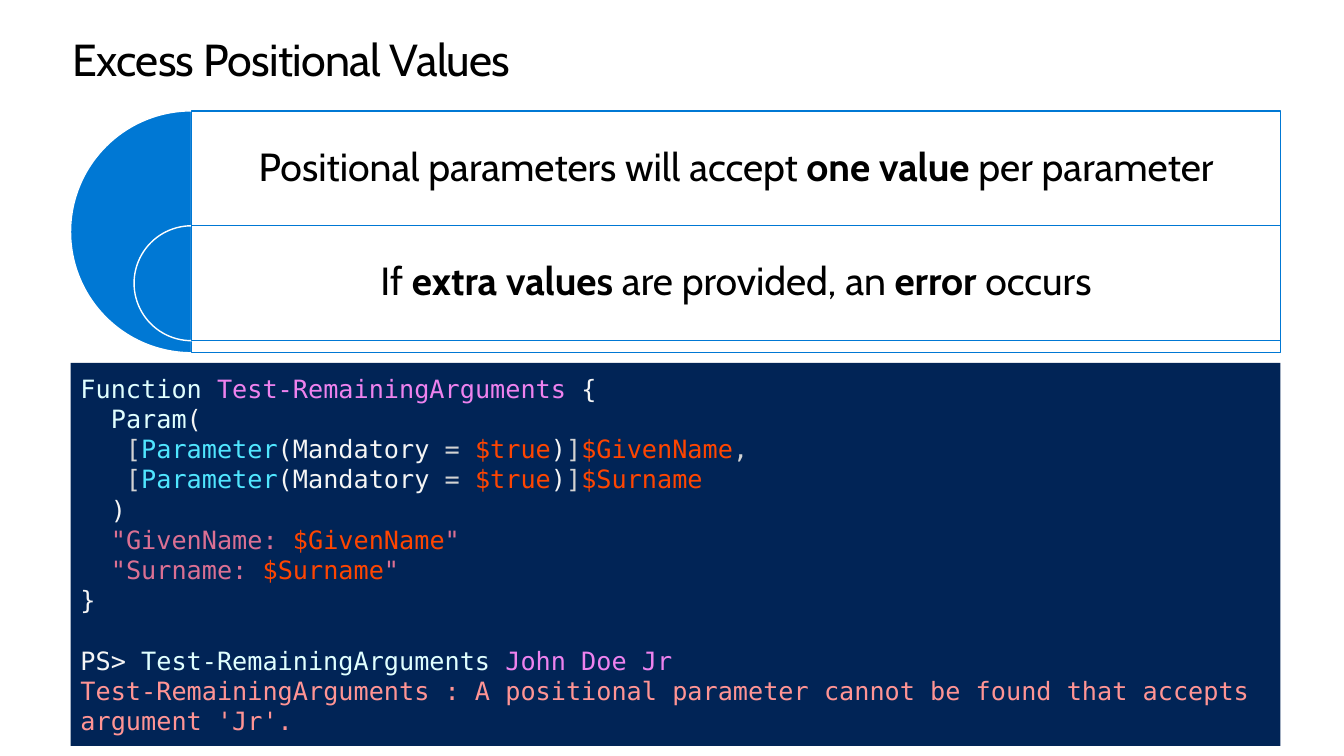
from lxml import etree
from pptx import Presentation
from pptx.dml.color import RGBColor
from pptx.enum.shapes import MSO_SHAPE as Preset
from pptx.enum.text import MSO_ANCHOR as Anchor, PP_ALIGN as Align
from pptx.oxml.ns import qn
from pptx.util import Inches, Pt

BLACK = RGBColor(0x00, 0x00, 0x00)
WHITE = RGBColor(0xFF, 0xFF, 0xFF)
BLUE = RGBColor(0x00, 0x78, 0xD4)
NAVY = RGBColor(0x01, 0x24, 0x56)
PLAIN = RGBColor(0xF5, 0xF5, 0xF5)
KEYWORD = RGBColor(0xE0, 0xFF, 0xFF)
ARGUMENT = RGBColor(0xEE, 0x82, 0xEE)
OPERATOR = RGBColor(0xD3, 0xD3, 0xD3)
TYPE = RGBColor(0x50, 0xE6, 0xFF)
VARIABLE = RGBColor(0xFF, 0x45, 0x00)
STRING = RGBColor(0xDB, 0x70, 0x93)
ERROR = RGBColor(0xFF, 0x94, 0x94)

BODY_FONT = "Cabin"
CODE_FONT = "DejaVu Sans Mono"
CODE_LINE = Pt(21.6)

# Each message is a list of (text, bold) pieces.
MESSAGES = [
    [("Positional parameters will accept ", False), ("one value", True), (" per parameter", False)],
    [("If ", False), ("extra values", True), (" are provided, an ", False),
     ("error", True), (" occurs", False)],
]


def parameter_line(*ending):
    return [("   ", PLAIN), ("[", OPERATOR), ("Parameter", TYPE), ("(Mandatory ", PLAIN),
            ("= ", OPERATOR), ("$true", VARIABLE), (")", PLAIN), ("]", OPERATOR), *ending]


def string_line(label, variable):
    return [("  ", PLAIN), (f'"{label}: ', STRING), (variable, VARIABLE), ('"', STRING)]


# Each code line is a list of (text, colour) pieces.
FUNCTION_LINES = [
    [("Function ", KEYWORD), ("Test-RemainingArguments", ARGUMENT), (" {", PLAIN)],
    [("  ", PLAIN), ("Param", KEYWORD), ("(", PLAIN)],
    parameter_line(("$GivenName", VARIABLE), (",", OPERATOR)),
    parameter_line(("$Surname", VARIABLE)),
    [("  )", PLAIN)],
    string_line("GivenName", "$GivenName"),
    string_line("Surname", "$Surname"),
    [("}", PLAIN)],
]
CALL_LINES = [
    [("PS> ", PLAIN), ("Test-RemainingArguments ", KEYWORD), ("John Doe Jr", ARGUMENT)],
    [("Test-RemainingArguments : A positional parameter cannot be found "
      "that accepts argument 'Jr'.", ERROR)],
]


def add_span(para, text, font, size, colour, bold=False):
    span = para.add_run()
    span.text = text
    span.font.name = font
    span.font.size = Pt(size)
    span.font.bold = bold
    span.font.color.rgb = colour
    return span


def add_box(page, preset, left, top, width, height, fill, line=None):
    box = page.shapes.add_shape(preset, Inches(left), Inches(top), Inches(width), Inches(height))
    box.shadow.inherit = False
    box.fill.solid()
    box.fill.fore_color.rgb = fill
    if line is None:
        box.line.fill.background()
    else:
        box.line.color.rgb = line
        box.line.width = Pt(1)
    return box


def set_margins(frame, inches):
    frame.margin_left = frame.margin_right = Inches(inches)
    frame.margin_top = frame.margin_bottom = Inches(inches)


def add_title(page, left, top, width, height):
    box = page.shapes.add_textbox(Inches(left), Inches(top), Inches(width), Inches(height))
    frame = box.text_frame
    frame.word_wrap = True
    set_margins(frame, 0)
    para = frame.paragraphs[0]
    para.line_spacing = Pt(36.2)
    span = add_span(para, "Excess Positional Values", BODY_FONT, 32, BLACK)
    span.font._element.set("spc", "-50")


def add_message(page, pieces, left, top, width, height, pie_size, row_height):
    """Draw a left half-disc with a panel from its centre; text fills the row."""
    pie = add_box(page, Preset.PIE, left - pie_size / 2, top, pie_size, pie_size, BLUE, WHITE)
    pie.adjustments[0], pie.adjustments[1] = 54, 162

    panel = add_box(page, Preset.RECTANGLE, left, top, width, height, WHITE, BLUE)
    colour = panel.fill._xPr.find(qn("a:solidFill"))[0]
    etree.SubElement(colour, qn("a:alpha")).set("val", "90000")

    box = page.shapes.add_textbox(Inches(left), Inches(top), Inches(width), Inches(row_height))
    frame = box.text_frame
    frame.word_wrap = True
    frame.vertical_anchor = Anchor.MIDDLE
    set_margins(frame, 0.12)
    para = frame.paragraphs[0]
    para.alignment = Align.CENTER
    para.line_spacing = 0.9
    for text, bold in pieces:
        add_span(para, text, BODY_FONT, 28, BLACK, bold)


def add_messages(page, left, top, width, height):
    """Nest the message rows: the first spans the box, the next sits inside it."""
    row_height = height * 0.475
    centre = left + height / 2
    for index, pieces in enumerate(MESSAGES):
        size = row_height if index else height
        add_message(page, pieces, centre, top + index * row_height,
                    width - height / 2, size, size, row_height)


def add_code(page, left, top, width, height):
    box = add_box(page, Preset.RECTANGLE, left, top, width, height, NAVY)
    frame = box.text_frame
    frame.word_wrap = True
    frame.vertical_anchor = Anchor.TOP
    set_margins(frame, 0.1)
    for index, pieces in enumerate(FUNCTION_LINES + CALL_LINES):
        para = frame.add_paragraph() if index else frame.paragraphs[0]
        para.alignment = Align.LEFT
        para.line_spacing = CODE_LINE
        if index == len(FUNCTION_LINES):
            para.space_before = CODE_LINE
        for text, colour in pieces:
            add_span(para, text, CODE_FONT, 18, colour)


def main():
    deck = Presentation()
    deck.slide_width, deck.slide_height = Inches(13.33), Inches(7.5)
    page = deck.slides.add_slide(deck.slide_layouts[6])
    add_title(page, 0.72, 0.35, 11.9, 0.5)
    add_code(page, 0.7, 3.6, 12, 3.8)
    add_messages(page, 0.7, 1.1, 12, 2.4)
    deck.save("out.pptx")


if __name__ == "__main__":
    main()
